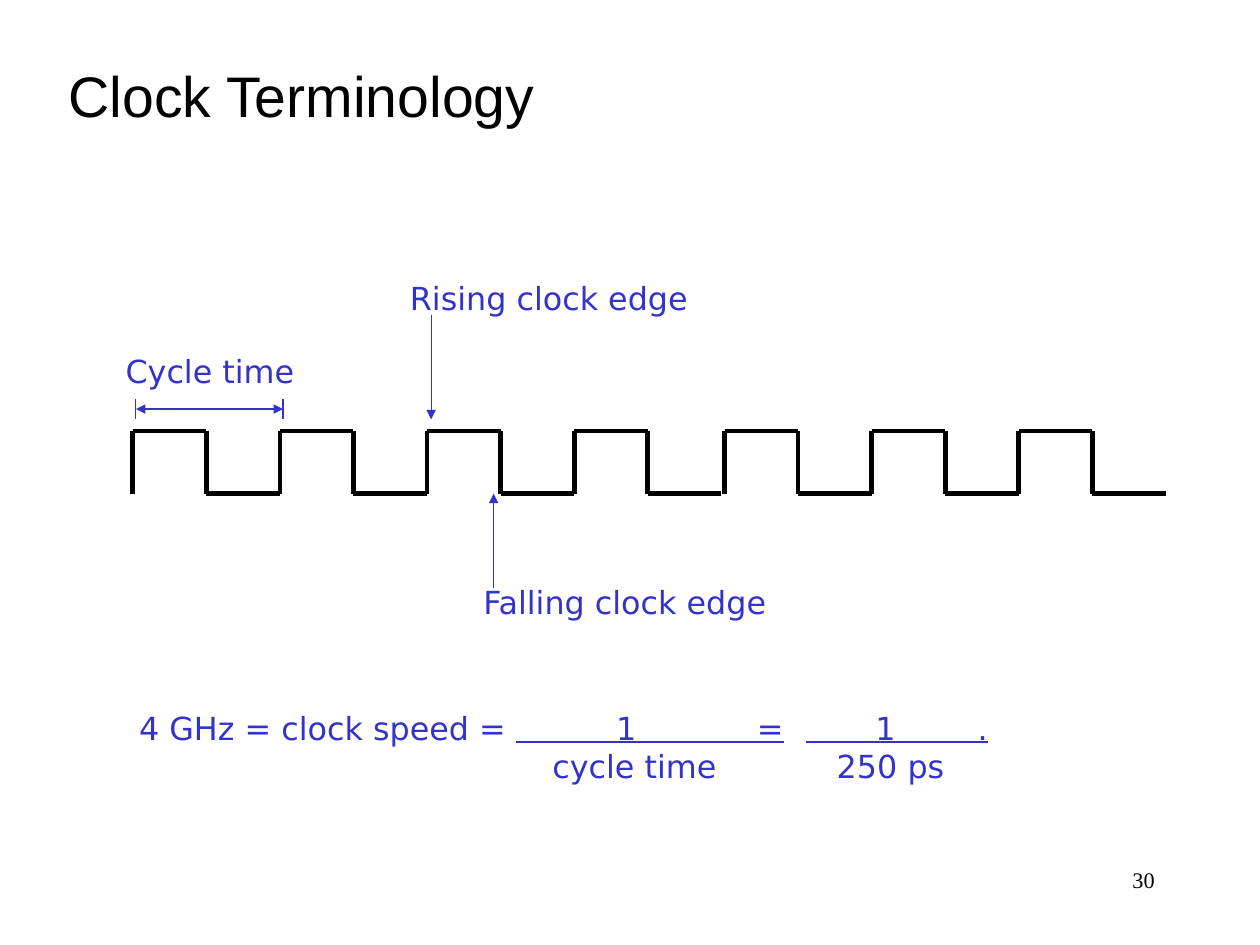
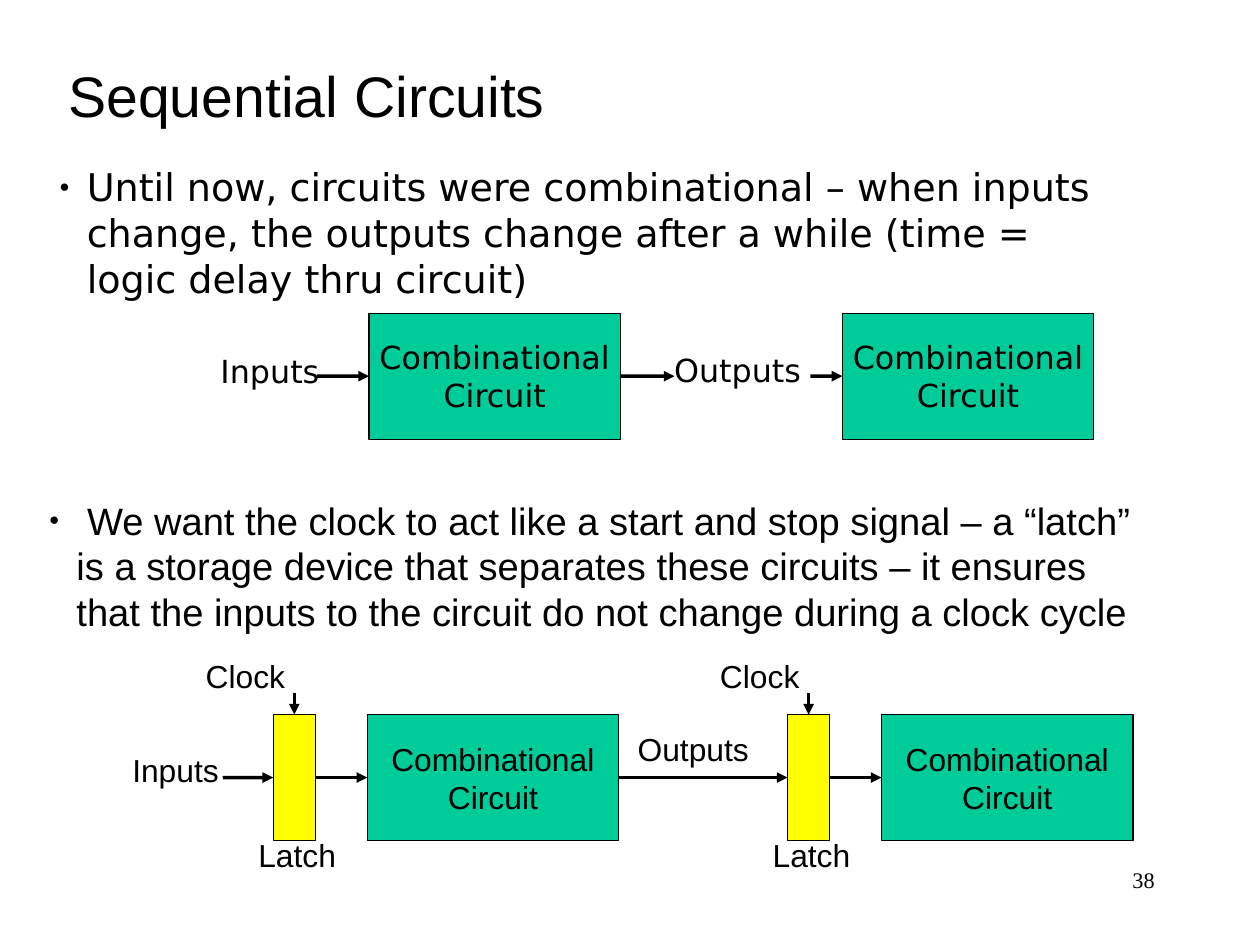
"""Builds two lecture slides on clock terminology and sequential circuits."""
from lxml.etree import SubElement
from pptx import Presentation
from pptx.dml.color import RGBColor
from pptx.enum.shapes import MSO_CONNECTOR as Connector, MSO_SHAPE as Preset
from pptx.enum.text import MSO_ANCHOR as Anchor, PP_ALIGN as Align
from pptx.oxml.ns import qn
from pptx.util import Cm, Pt

COLORS = {"ink": "000000", "note": "3333CC", "circuit": "00CC99", "latch": "FFFF00"}
SANS, WIDE, SERIF = "Arial", "DejaVu Sans", "Times New Roman"
TOP, LEFT, BOTTOM, RIGHT = range(4)


class Deck:
    def __init__(self):
        self.show = Presentation()
        self.show.slide_width, self.show.slide_height = Cm(28), Cm(21)
        self.slide = None

    def color(self, name):
        return RGBColor.from_string(COLORS[name])

    def start(self, title, number):
        self.slide = self.show.slides.add_slide(self.show.slide_layouts[6])
        self.text(title, 1.27, 1.22, 12, 1.78, size=36)
        page = self.text(number, 20.07, 19.13, 5.84, 1.4, font=SERIF, size=14)
        page.alignment = Align.RIGHT

    def run(self, paragraph, words, font, size, color="ink"):
        run = paragraph.add_run()
        run.text = words
        run.font.name, run.font.size = font, Pt(size)
        run.font.color.rgb = self.color(color)

    def frame(self, x, y, width, height):
        frame = self.slide.shapes.add_textbox(Cm(x), Cm(y), Cm(width), Cm(height)).text_frame
        frame.word_wrap = True
        return frame

    def text(self, words, x, y, width, height=1.12, font=SANS, size=20, color="ink"):
        paragraph = self.frame(x, y, width, height).paragraphs[0]
        self.run(paragraph, words, font, size, color)
        return paragraph

    def bullet(self, words, x, y, width, height, font):
        paragraph = self.frame(x, y, width, height).paragraphs[0]
        props = paragraph._p.get_or_add_pPr()
        props.set("marL", str(Cm(0.61)))
        props.set("indent", str(-Cm(0.61)))
        SubElement(SubElement(props, qn("a:buClr")), qn("a:srgbClr"), val=COLORS["ink"])
        SubElement(props, qn("a:buSzPct"), val="45000")
        SubElement(props, qn("a:buFont"), typeface=SERIF)
        SubElement(props, qn("a:buChar"), char="●")
        self.run(paragraph, words, font, 24)

    def formula(self, lines, x, y, width, height):
        frame = self.frame(x, y, width, height)
        for index, (words, stops) in enumerate(lines):
            paragraph = frame.add_paragraph() if index else frame.paragraphs[0]
            tabs = SubElement(paragraph._p.get_or_add_pPr(), qn("a:tabLst"))
            for place, align in stops:
                SubElement(tabs, qn("a:tab"), pos=str(Cm(place)), algn=align)
            self.run(paragraph, words, WIDE, 20, "note")

    def box(self, x, y, width, height, fill, words=(), font=SANS):
        box = self.slide.shapes.add_shape(Preset.RECTANGLE, Cm(x), Cm(y), Cm(width), Cm(height))
        box.shadow.inherit = False
        box.fill.solid()
        box.fill.fore_color.rgb = self.color(fill)
        box.line.color.rgb = self.color("ink")
        box.line.width = Pt(0.75)
        frame = box.text_frame
        frame.word_wrap = False
        frame.vertical_anchor = Anchor.MIDDLE
        for index, line in enumerate(words):
            paragraph = frame.add_paragraph() if index else frame.paragraphs[0]
            paragraph.alignment = Align.CENTER
            self.run(paragraph, line, font, 20)
        return box

    def circuit(self, x, y, font):
        return self.box(x, y, 5.59, 2.8, "circuit", ("Combinational", "Circuit"), font)

    def line(self, begin, end, color="ink", weight=3, heads=(), begin_at=None, end_at=None):
        line = self.slide.shapes.add_connector(Connector.STRAIGHT, *map(Cm, begin + end))
        line.line.color.rgb = self.color(color)
        line.line.width = Pt(weight)
        for head in heads:
            SubElement(line.line._get_or_add_ln(), qn(f"a:{head}"), type="triangle")
        SubElement(line._element.spPr, qn("a:effectLst"))
        if begin_at:
            line.begin_connect(*begin_at)
        if end_at:
            line.end_connect(*end_at)

    def signal(self, begin, end, begin_at=None, end_at=None):
        self.line(begin, end, "ink", 2.25, ("tailEnd",), begin_at, end_at)

    def note_line(self, begin, end, heads=()):
        self.line(begin, end, "note", 0.75, heads)


def clock_slide(deck):
    deck.start("Clock Terminology", "30")
    cycle, high, low = 3.27, 9.58, 10.97
    for train, count in ((2.95, 4), (16.1, 3)):
        for index in range(count):
            rise = train + index * cycle
            fall = rise + cycle / 2
            deck.line((rise, low), (rise, high))
            deck.line((rise, high), (fall, high))
            deck.line((fall, low), (fall, high))
            deck.line((fall, low), (rise + cycle, low))

    first, last = 3.02, 3.02 + cycle
    for tick in (first, last):
        deck.note_line((tick, 8.86), (tick, 9.32))
    deck.note_line((first, 9.09), (last, 9.09), ("headEnd", "tailEnd"))
    deck.note_line((9.58, 7.01), (9.58, 9.32), ("tailEnd",))
    deck.note_line((10.97, 13.06), (10.97, low), ("tailEnd",))
    for words, x, y, width in (("Cycle time", 2.54, 7.7, 5),
                               ("Rising clock edge", 8.86, 6.07, 7.5),
                               ("Falling clock edge", 10.49, 12.83, 7.5)):
        deck.text(words, x, y, width, font=WIDE, color="note")

    deck.formula((
        ("4 GHz = clock speed =\t1\t=\t1\t.",
         ((10.83, "ctr"), (14.32, "r"), (16.59, "ctr"), (18.86, "r"))),
        ("\tcycle time\t250 ps", ((11.01, "ctr"), (16.7, "ctr"))),
    ), 2.84, 15.62, 20, 1.96)
    for left, right in ((11.47, 17.42), (17.91, 21.96)):
        deck.note_line((left, 16.49), (right, 16.49))


def circuits_slide(deck):
    deck.start("Sequential Circuits", "38")
    deck.bullet("Until now, circuits were combinational – when inputs change, the outputs change "
                "after a while (time = logic delay thru circuit)", 1.07, 3.51, 24.13, 1.27, WIDE)
    first, second = (deck.circuit(x, 6.96, WIDE) for x in (8.2, 18.72))
    axis = 8.36
    deck.signal((7.04, axis), (8.2, axis), end_at=(first, LEFT))
    deck.signal((13.79, axis), (14.99, axis), begin_at=(first, RIGHT))
    deck.signal((18.01, axis), (18.72, axis), end_at=(second, LEFT))
    deck.text("Inputs", 4.65, 7.7, 3.2, font=WIDE)
    deck.text("Outputs", 14.73, 7.67, 3.8, font=WIDE)

    deck.bullet(" We want the clock to act like a start and stop signal – a “latch” is a storage "
                "device that separates these circuits – it ensures that the inputs to the circuit "
                "do not change during a clock cycle", 0.84, 10.92, 25.02, 3.3, SANS)
    top, axis = 15.88, 17.28
    stages = []
    for shift in (0, 11.43):
        x = 6.07 + shift
        latch = deck.box(x, top, 0.94, 2.8, "latch")
        circuit = deck.circuit(x + 2.09, top, SANS)
        deck.signal((x + 0.94, axis), (x + 2.09, axis), (latch, RIGHT), (circuit, LEFT))
        deck.signal((x + 0.47, 15.39), (x + 0.47, top), end_at=(latch, TOP))
        deck.text("Clock", x - 1.75, 14.48, 2.8)
        deck.text("Latch", x - 0.58, 18.44, 2.8)
        stages.append((latch, circuit))
    (latch, circuit), (next_latch, _) = stages
    deck.signal((4.95, axis), (6.07, axis), end_at=(latch, LEFT))
    deck.signal((13.75, axis), (17.5, axis), (circuit, RIGHT), (next_latch, LEFT))
    deck.text("Inputs", 2.69, 16.56, 2.9)
    deck.text("Outputs", 13.92, 16.1, 3.5)


def main():
    deck = Deck()
    clock_slide(deck)
    circuits_slide(deck)
    deck.show.save("out.pptx")


if __name__ == "__main__":
    main()
